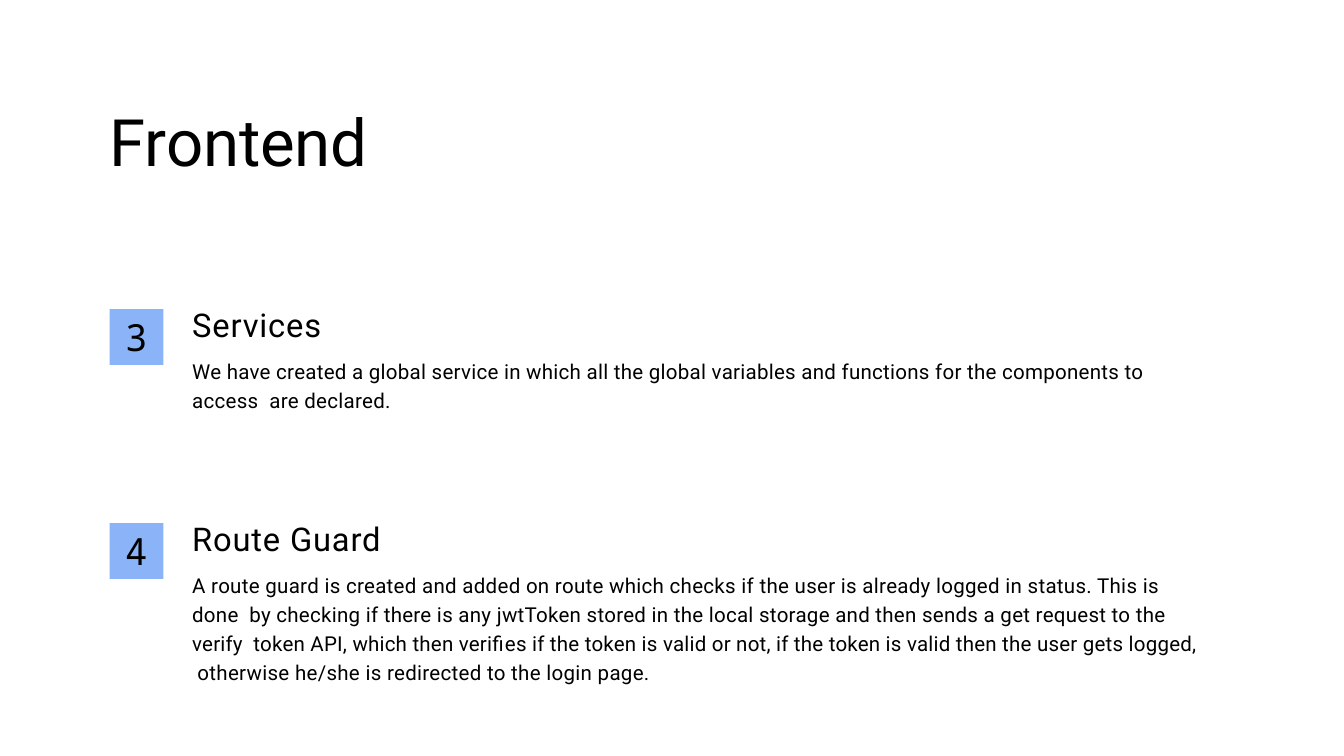
from pptx import Presentation
from pptx.dml.color import RGBColor
from pptx.enum import shapes, text
from pptx.util import Pt

HUES = {"ink": "000000", "badge": "8AB4F7"}
TOP, STEP = 331.2, 229.3
# Each body run: text, letter spacing in points
ITEMS = [
    ("3", "Services", [
        ("We have created a global service in which all the global variables "
         "and functions for the components to ", 0.3),
        ("access  are declared.", 0.35),
    ]),
    ("4", "Route Guard", [
        ("A route guard is created and added on route which checks if the user "
         "is already logged in status. This is ", 0.35),
        ("done  by checking if there is any jwtToken stored in the local storage "
         "and then sends a get request to the ", 0.3),
        ("verify  token API, which then verifies if the token is valid or not, "
         "if the token is valid then the user gets logged,  ", 0.25),
        ("otherwise he/she is redirected to the login page.", 0.35),
    ]),
]


class Deck:
    font = "Roboto"
    mono = "Noto Sans Mono"

    def __init__(self, wide, high):
        self.prs = Presentation()
        self.prs.slide_width, self.prs.slide_height = Pt(wide), Pt(high)
        self.page = self.prs.slides.add_slide(self.prs.slide_layouts[5])

    def frame(self, shape, top=0.9, anchor=text.MSO_ANCHOR.TOP):
        """Set the insets and wrapping, and return the text frame."""
        frame = shape.text_frame
        frame.margin_left = frame.margin_right = frame.margin_bottom = 0
        frame.margin_top = Pt(top)
        frame.word_wrap = True
        frame.auto_size = text.MSO_AUTO_SIZE.NONE
        frame.vertical_anchor = anchor
        return frame

    def para(self, para, runs, size, before, font=None, line=None,
             align=text.PP_ALIGN.LEFT):
        para.alignment = align
        para.space_before = Pt(before)
        if line:
            para.line_spacing = line
        for words, gap in runs:
            run = para.add_run()
            run.text = words
            run.font.size = Pt(size)
            run.font.name = font or self.font
            run.font.color.rgb = RGBColor.from_string(HUES["ink"])
            run._r.get_or_add_rPr().set("spc", str(round(gap * 100)))

    def title(self, words, x, y, w, h):
        shape = self.page.shapes.title
        shape.left, shape.top, shape.width, shape.height = map(Pt, (x, y, w, h))
        frame = self.frame(shape)
        self.para(frame.paragraphs[0], [(words, -0.1)], 70, 1)

    def badge(self, mark, x, y, w, h):
        shape = self.page.shapes.add_shape(
            shapes.MSO_SHAPE.RECTANGLE, *map(Pt, (x, y, w, h)))
        shape.shadow.inherit = False
        shape.fill.solid()
        shape.fill.fore_color.rgb = RGBColor.from_string(HUES["badge"])
        shape.line.fill.background()
        frame = self.frame(shape, top=5)
        self.para(frame.paragraphs[0], [(mark, -1)], 40, 5.3, self.mono,
                  align=text.PP_ALIGN.CENTER)

    def note(self, head, body, x, y, w, h):
        box = self.page.shapes.add_textbox(*map(Pt, (x, y, w, h)))
        frame = self.frame(box)
        self.para(frame.paragraphs[0], [(head, 0.9)], 35, 1)
        self.para(frame.add_paragraph(), body, 22, 11.5, line=1.17)


def main():
    deck = Deck(1440, 810)
    deck.title("Frontend", 117.4, 107.3, 278.6, 85.7)
    for row, (mark, head, body) in enumerate(ITEMS):
        y = TOP + row * STEP
        deck.badge(mark, 117.4, y, 57.6, 59.8)
        deck.note(head, body, 205.9, y - 5.3, 1081.5, 57 + 30.4 * len(body))
    deck.prs.save("out.pptx")


if __name__ == "__main__":
    main()
